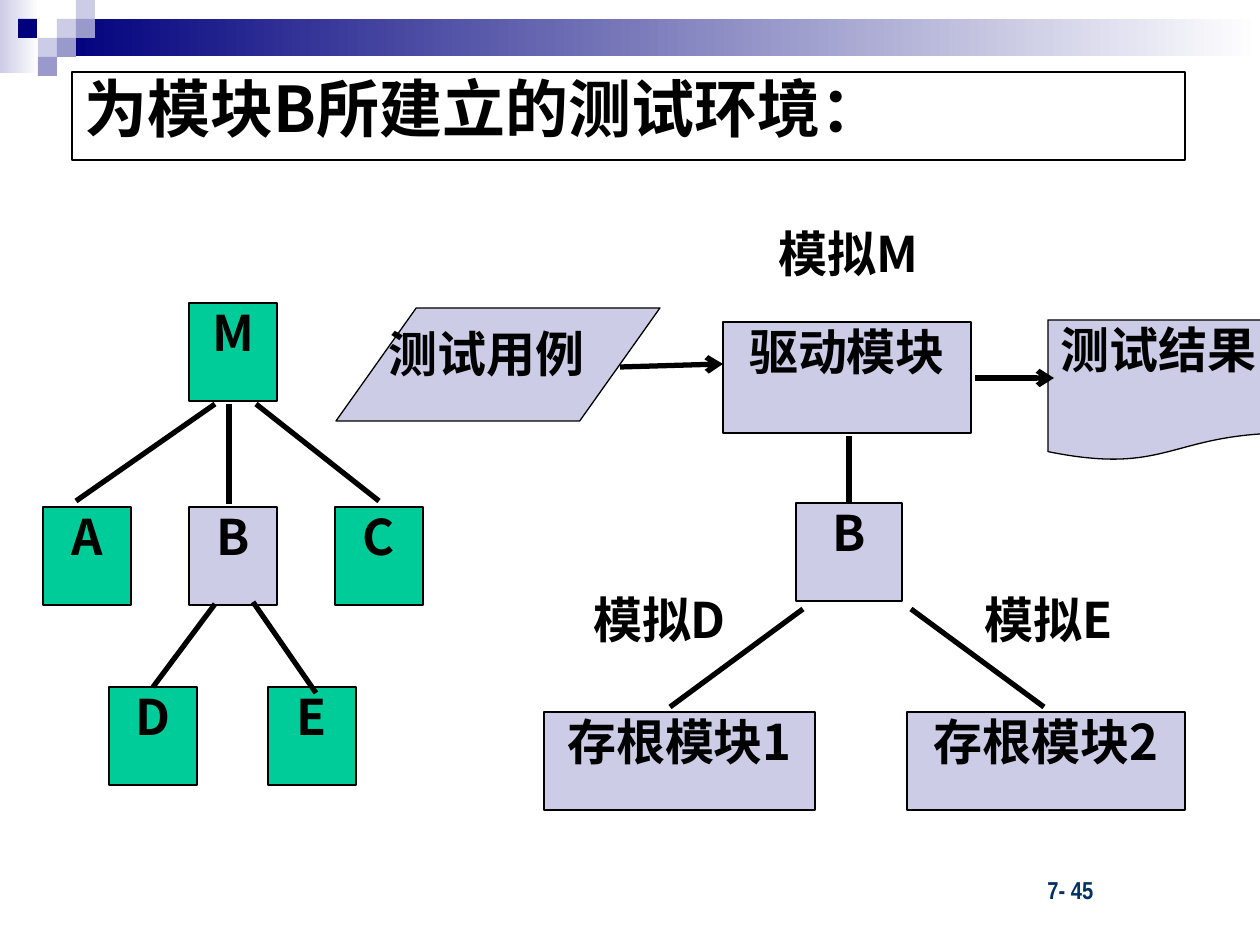
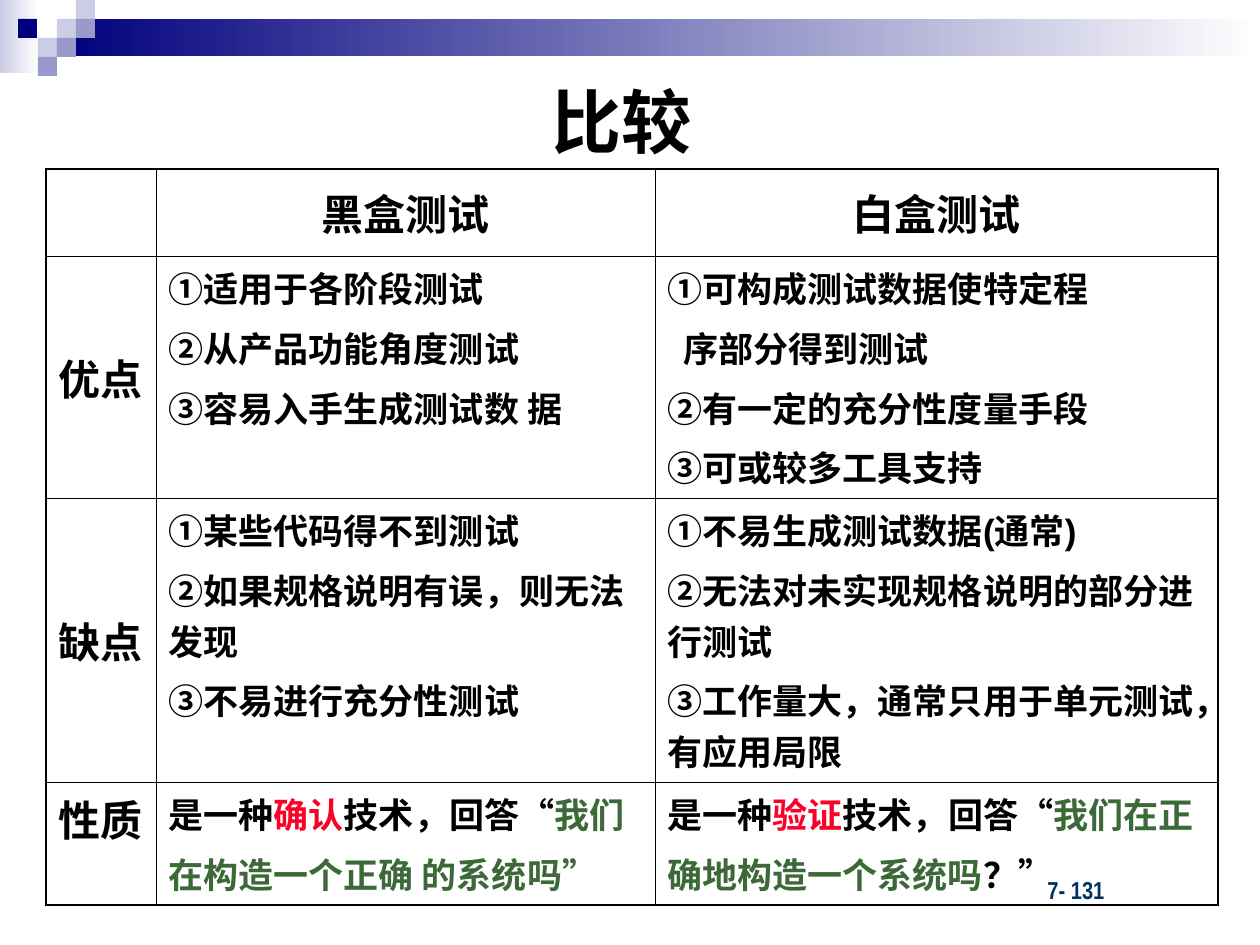
from typing import NamedTuple, Optional, Sequence, Union

from lxml import etree
from pptx import Presentation
from pptx.dml.color import RGBColor
from pptx.enum.shapes import MSO_CONNECTOR, MSO_SHAPE
from pptx.enum.text import MSO_ANCHOR, PP_ALIGN
from pptx.oxml.ns import qn
from pptx.util import Emu, Pt

# Enum members
RECTANGLE = MSO_SHAPE.RECTANGLE
PARALLELOGRAM = MSO_SHAPE.PARALLELOGRAM
DOCUMENT = MSO_SHAPE.FLOWCHART_DOCUMENT
STRAIGHT = MSO_CONNECTOR.STRAIGHT
LEFT, CENTER = PP_ALIGN.LEFT, PP_ALIGN.CENTER
TOP, MIDDLE = MSO_ANCHOR.TOP, MSO_ANCHOR.MIDDLE
TOP_SIDE = 0

# Colours and fonts
BLACK = RGBColor(0x00, 0x00, 0x00)
WHITE = RGBColor(0xFF, 0xFF, 0xFF)
NAVY = RGBColor(0x00, 0x00, 0x7D)
LAVENDER = RGBColor(0xCC, 0xCC, 0xE6)
VIOLET = RGBColor(0x99, 0x99, 0xCC)
GREEN = RGBColor(0x00, 0xCC, 0x99)
FOOTER_BLUE = RGBColor(0x00, 0x31, 0x62)
RED = RGBColor(0xFC, 0x01, 0x28)
DARK_GREEN = RGBColor(0x3C, 0x69, 0x37)
CJK_FONT = "Noto Sans CJK SC"
LATIN_FONT = "Arial"
FOOTER_FONT = "Arial Narrow"

PX_PER_INCH = 126
SLIDE_WIDTH, SLIDE_HEIGHT = 1260, 945
INSET_X, INSET_Y = Pt(7.2), Pt(3.6)
OUTER_BORDER, INNER_BORDER = Pt(1.08), Pt(0.45)


class Box(NamedTuple):
    left: int
    top: int
    width: int
    height: int


class Run(NamedTuple):
    text: str
    color: RGBColor = BLACK


class Line(NamedTuple):
    """One paragraph with its left indent in px."""
    runs: Sequence[Run]
    indent: int = 0


class Node(NamedTuple):
    label: str
    box: Box
    fill: Optional[RGBColor] = LAVENDER
    kind: int = RECTANGLE
    align: int = CENTER


class Edge(NamedTuple):
    start: tuple[int, int]
    end: tuple[int, int]
    arrow: bool = False
    target: str = ""


Text = Union[str, Line]


def px(length: int) -> Emu:
    return Emu(round(length * 914400 / PX_PER_INCH))


def place(box: Box) -> list[Emu]:
    return [px(length) for length in box]


# Text
def write_text(frame, lines: Sequence[Text], *, size: int, font: str = CJK_FONT,
               color: RGBColor = BLACK, align: int = LEFT, gap: int = 0,
               spacing: float = 1.0) -> None:
    for index, line in enumerate(lines):
        if isinstance(line, str):
            line = Line([Run(line, color)])
        paragraph = frame.add_paragraph() if index else frame.paragraphs[0]
        paragraph.alignment = align
        paragraph.line_spacing = spacing
        if index:
            paragraph.space_before = Pt(gap)
        if line.indent:
            paragraph._p.get_or_add_pPr().set("marL", str(px(line.indent)))
        for part in line.runs:
            run = paragraph.add_run()
            run.text = part.text
            run.font.size = Pt(size)
            run.font.bold = True
            run.font.color.rgb = part.color
            run.font.name = font
            etree.SubElement(run._r.get_or_add_rPr(), qn("a:ea"), typeface=CJK_FONT)


def set_frame(frame, anchor: int = TOP) -> None:
    frame.word_wrap = True
    frame.vertical_anchor = anchor
    frame.margin_left = frame.margin_right = INSET_X
    frame.margin_top = frame.margin_bottom = INSET_Y


def add_label(slide, text: str, box: Box, *, anchor: int = TOP, **text_format):
    frame = slide.shapes.add_textbox(*place(box)).text_frame
    set_frame(frame, anchor)
    write_text(frame, [text], **text_format)


# Shapes
def add_block(slide, box: Box, *, kind: int = RECTANGLE,
              fill: Optional[RGBColor] = None, outlined: bool = False):
    shape = slide.shapes.add_shape(kind, *place(box))
    shape.shadow.inherit = False
    if fill is None:
        shape.fill.background()
    else:
        shape.fill.solid()
        shape.fill.fore_color.rgb = fill
    if outlined:
        shape.line.color.rgb = BLACK
        shape.line.width = Pt(0.75)
    else:
        shape.line.fill.background()
    return shape


def add_fade(slide, box: Box, color: RGBColor) -> None:
    fill = add_block(slide, box).fill
    fill.gradient()
    fill.gradient_angle = 0
    for stop, position, stop_color in zip(fill.gradient_stops, (0, 1), (color, WHITE)):
        stop.position = position
        stop.color.rgb = stop_color


def add_node(slide, node: Node):
    shape = add_block(slide, node.box, kind=node.kind, fill=node.fill, outlined=True)
    if node.kind == PARALLELOGRAM:
        shape.adjustments[0] = 0.71
    set_frame(shape.text_frame)
    if node.label:
        write_text(shape.text_frame, [node.label], size=28, align=node.align, spacing=0.9)
    return shape


def add_edge(slide, edge: Edge, shapes: dict) -> None:
    connector = slide.shapes.add_connector(
        STRAIGHT, *(px(value) for value in edge.start + edge.end))
    if edge.target:
        connector.end_connect(shapes[edge.target], TOP_SIDE)
    connector.line.color.rgb = BLACK
    connector.line.width = Pt(3)
    if edge.arrow:
        etree.SubElement(connector.line._get_or_add_ln(), qn("a:tailEnd"), type="arrow")
    etree.SubElement(connector._element.spPr, qn("a:effectLst"))


# Shared slide frame: fading band, pixel squares, page number
SQUARE = 19
SQUARES = [(57, 19, LAVENDER), (76, 0, LAVENDER), (76, 19, VIOLET), (38, 38, LAVENDER),
           (18, 19, NAVY), (57, 38, VIOLET), (38, 57, VIOLET)]


def add_base_slide(presentation, page: str):
    slide = presentation.slides.add_slide(presentation.slide_layouts[6])
    add_fade(slide, Box(0, 0, 39, 73), LAVENDER)
    add_fade(slide, Box(57, 19, 1203, 37), NAVY)
    for left, top, color in SQUARES:
        add_block(slide, Box(left, top, SQUARE, SQUARE), fill=color)
    add_label(slide, page, Box(1035, 869, 144, 42), size=14, font=FOOTER_FONT,
              color=FOOTER_BLUE)
    return slide


# Slide 1: module tree and the test environment of module B
def tree_node(label: str, left: int, top: int, fill: RGBColor = GREEN) -> Node:
    return Node(label, Box(left, top, 88, 98), fill)


TREE_NODES = [
    tree_node("M", 189, 303),
    *(tree_node(label, 43 + 146 * column, 507, fill)
      for column, (label, fill) in enumerate([("A", GREEN), ("B", LAVENDER), ("C", GREEN)])),
    tree_node("D", 109, 687),
    tree_node("E", 268, 687),
]
TREE_EDGES = [
    Edge((215, 404), (76, 501)),
    Edge((229, 404), (229, 504)),
    Edge((256, 404), (379, 501)),
    Edge((215, 604), (150, 687), target="D"),
    Edge((253, 602), (316, 693)),
]
ENVIRONMENT_NODES = [
    Node("", Box(336, 308, 324, 113), kind=PARALLELOGRAM),
    Node("驱动模块", Box(723, 322, 248, 111)),
    Node("B", Box(796, 503, 106, 98)),
    Node("存根模块1", Box(544, 712, 271, 98)),
    Node("存根模块2", Box(907, 712, 278, 98)),
    Node("测试结果", Box(1048, 320, 242, 141), kind=DOCUMENT, align=LEFT),
]
ENVIRONMENT_EDGES = [
    Edge((620, 367), (723, 364), arrow=True),
    Edge((975, 378), (1054, 378), arrow=True),
    Edge((849, 436), (849, 503), target="B"),
    Edge((803, 609), (670, 707)),
    Edge((911, 609), (1044, 707)),
]
ENVIRONMENT_LABELS = [
    ("测试用例", Box(376, 324, 248, 111), LEFT),
    ("模拟D", Box(544, 590, 231, 98), CENTER),
    ("模拟E", Box(933, 590, 231, 98), CENTER),
    ("模拟M", Box(754, 224, 189, 98), CENTER),
]


def build_environment_slide(presentation) -> None:
    slide = add_base_slide(presentation, "7- 45")
    for nodes, edges in ((TREE_NODES, TREE_EDGES), (ENVIRONMENT_NODES, ENVIRONMENT_EDGES)):
        shapes = {node.label: add_node(slide, node) for node in nodes}
        for edge in edges:
            add_edge(slide, edge, shapes)
    for text, box, align in ENVIRONMENT_LABELS:
        add_label(slide, text, box, size=28, align=align, spacing=0.9)
    title = add_block(slide, Box(72, 72, 1113, 88), outlined=True)
    set_frame(title.text_frame)
    write_text(title.text_frame, ["为模块B所建立的测试环境："], size=36, spacing=0.9)


# Slide 2: comparison table
COLUMN_WIDTHS = [110, 499, 563]
ROW_HEIGHTS = [87, 242, 284, 123]


def nature(kind: str, opening: str, closing: Sequence[Run]) -> list[Text]:
    return [Line([Run("是一种"), Run(kind, RED), Run("技术，回答“"), Run(opening, DARK_GREEN)]),
            Line(closing)]


COMPARISON: list[list[list[Text]]] = [
    [[], ["黑盒测试"], ["白盒测试"]],
    [["优点"],
     ["①适用于各阶段测试", "②从产品功能角度测试", "③容易入手生成测试数 据"],
     ["①可构成测试数据使特定程", Line([Run("序部分得到测试")], indent=16),
      "②有一定的充分性度量手段", "③可或较多工具支持"]],
    [["缺点"],
     ["①某些代码得不到测试", "②如果规格说明有误，则无法发现", "③不易进行充分性测试"],
     ["①不易生成测试数据(通常)", "②无法对未实现规格说明的部分进行测试",
      "③工作量大，通常只用于单元测试，有应用局限"]],
    [["性质"],
     nature("确认", "我们", [Run("在构造一个正确 的系统吗”", DARK_GREEN)]),
     nature("验证", "我们在正", [Run("确地构造一个系统吗", DARK_GREEN), Run("？”")])],
]


def set_borders(cell, row: int, column: int) -> None:
    outer_sides = {"L": column == 0, "R": column == len(COLUMN_WIDTHS) - 1,
                   "T": row == 0, "B": row == len(ROW_HEIGHTS) - 1}
    properties = cell._tc.get_or_add_tcPr()
    for side, outer in outer_sides.items():
        width = OUTER_BORDER if outer else INNER_BORDER
        border = etree.SubElement(properties, qn(f"a:ln{side}"), w=str(width))
        fill = etree.SubElement(border, qn("a:solidFill"))
        etree.SubElement(fill, qn("a:srgbClr"), val=str(BLACK))


def build_comparison_slide(presentation) -> None:
    slide = add_base_slide(presentation, "7- 131")
    add_label(slide, "比较", Box(54, 45, 1134, 151), anchor=MIDDLE, size=40,
              font=LATIN_FONT, align=CENTER)
    area = Box(46, 169, sum(COLUMN_WIDTHS), sum(ROW_HEIGHTS))
    table = slide.shapes.add_table(len(ROW_HEIGHTS), len(COLUMN_WIDTHS), *place(area)).table
    table.first_row = table.horz_banding = False
    for column, width in zip(table.columns, COLUMN_WIDTHS):
        column.width = px(width)
    for row, height in zip(table.rows, ROW_HEIGHTS):
        row.height = px(height)
    last_row = len(ROW_HEIGHTS) - 1
    for row, cells in enumerate(COMPARISON):
        for column, lines in enumerate(cells):
            cell = table.cell(row, column)
            heading = row == 0 or column == 0
            set_borders(cell, row, column)
            cell.fill.background()
            cell.margin_left = cell.margin_right = INSET_X
            cell.margin_top = cell.margin_bottom = INSET_Y
            cell.vertical_anchor = MIDDLE if heading and row < last_row else TOP
            write_text(cell.text_frame, lines, size=24 if heading else 20, font=LATIN_FONT,
                       align=CENTER if row == 0 else LEFT, gap=5)


def main() -> None:
    presentation = Presentation()
    presentation.slide_width = px(SLIDE_WIDTH)
    presentation.slide_height = px(SLIDE_HEIGHT)
    build_environment_slide(presentation)
    build_comparison_slide(presentation)
    presentation.save("out.pptx")


if __name__ == "__main__":
    main()
